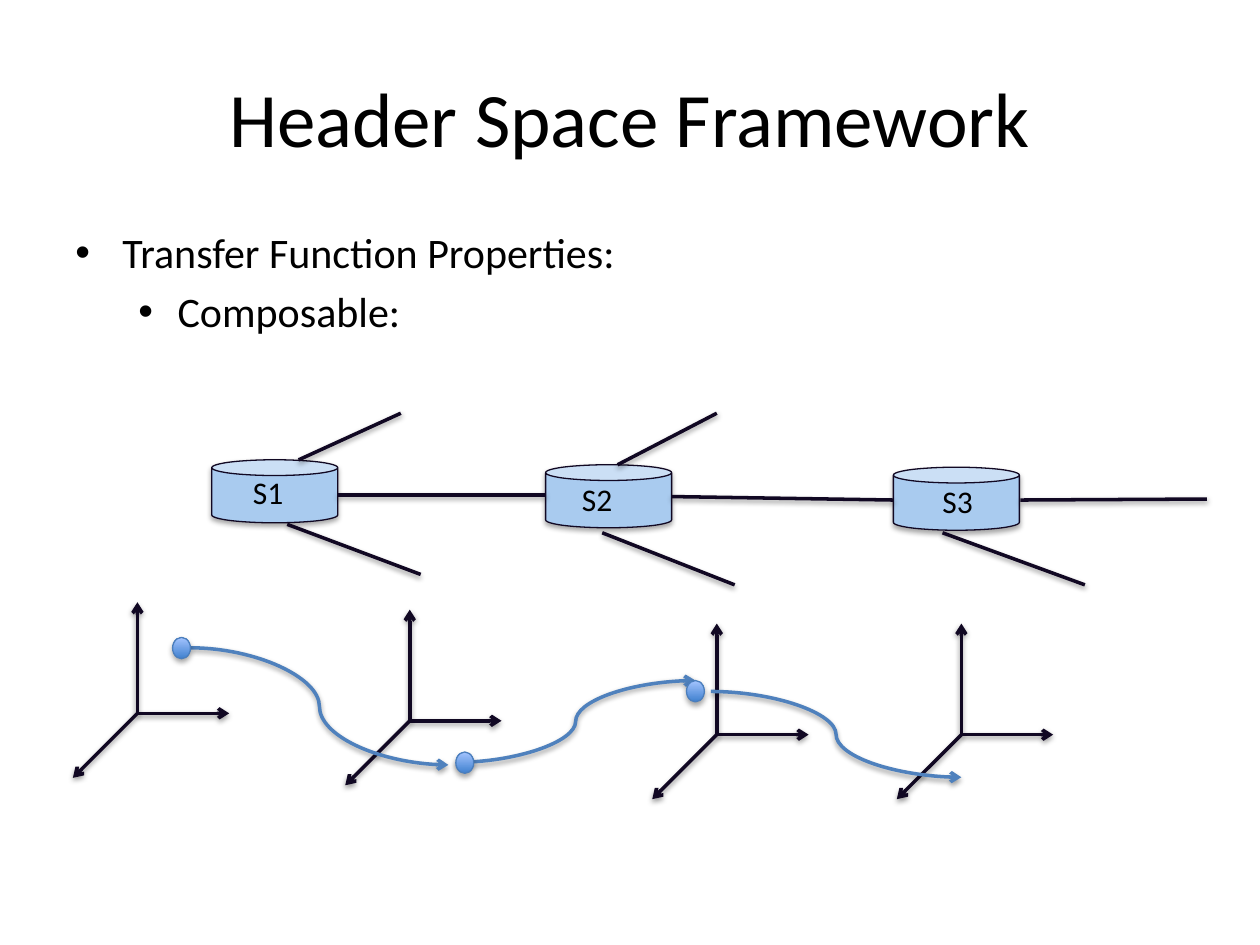
from dataclasses import dataclass

from pptx import Presentation
from pptx.dml.color import RGBColor
from pptx.enum.shapes import MSO_CONNECTOR as Link, MSO_SHAPE as Preset
from pptx.enum.text import MSO_ANCHOR as Anchor, MSO_AUTO_SIZE as Fit, PP_ALIGN as Align
from pptx.oxml.ns import qn
from pptx.oxml.xmlchemy import OxmlElement
from pptx.util import Cm, Pt


@dataclass(frozen=True)
class Theme:
    font: str = "Calibri"
    text: str = "000000"
    ink: str = "110823"
    switch: str = "A9CBEF"
    path_line: str = "4F81BD"
    dot_line: str = "4B7EBC"
    dot_low: str = "3F80CE"
    dot_high: str = "A4C4FF"
    title: int = 44
    body: int = 24
    label: int = 18
    outline: float = 0.75
    stroke: float = 2


THEME = Theme()

SWITCHES = [
    ("S1", (4.27, 9.27), (4.85, 9.42)),
    ("S2", (11, 9.37), (11.48, 9.55)),
    ("S3", (18.01, 9.42), (18.75, 9.6)),
]
LINKS = [
    ((6.81, 9.98), (11, 9.98)),
    ((13.54, 10.01), (18.01, 10.08)),
    ((20.57, 10.08), (24.33, 10.06)),
]
BRANCHES = [
    ((6.02, 9.27), (8.08, 8.33)),
    ((12.45, 9.37), (14.45, 8.33)),
    ((5.79, 10.57), (8.48, 11.58)),
    ((12.14, 10.74), (14.81, 11.79)),
    ((19, 10.74), (21.87, 11.79)),
]
AXIS_ORIGINS = [(2.77, 14.38), (8.26, 14.53), (14.45, 14.81), (19.38, 14.81)]
AXIS_ARMS = [(0, -2.24), (1.85, 0), (-1.3, 1.3)]
HOPS = [
    ((3.84, 13.06), (9.04, 15.42)),
    ((9.19, 15.37), (14.02, 13.72)),
    ((14.33, 13.94), (19.38, 15.67)),
]
DOTS = [(3.48, 12.85), (9.19, 15.16), (13.84, 13.72)]


def color(value):
    return RGBColor.from_string(value)


def add_element(parent, tag, **attributes):
    element = OxmlElement(tag)
    for name, value in attributes.items():
        element.set(name, str(value))
    parent.append(element)
    return element


def add_shadow(properties, opacity, distance):
    effects = properties.find(qn("a:effectLst"))
    if effects is None:
        effects = add_element(properties, "a:effectLst")
    shadow = add_element(effects, "a:outerShdw", blurRad=Pt(3.1), dist=Pt(distance),
                         dir=90 * 60000, rotWithShape=0)
    tone = add_element(shadow, "a:srgbClr", val="000000")
    add_element(tone, "a:alpha", val=opacity * 1000)


def write(para, text, size, align=Align.LEFT, indent=None, level=0, before=0):
    para.level = level
    para.alignment = align
    para.space_before = Pt(before)
    if indent:
        left, hanging = indent
        properties = para._p.get_or_add_pPr()
        properties.set("marL", str(Cm(left)))
        properties.set("indent", str(Cm(-hanging)))
        add_element(properties, "a:buFont", typeface="Arial")
        add_element(properties, "a:buChar", char="•")
    span = para.add_run()
    span.text = text
    span.font.name = THEME.font
    span.font.size = Pt(size)
    span.font.color.rgb = color(THEME.text)


def add_title(page, text):
    title = page.shapes.title
    title.left, title.top, title.width, title.height = Cm(1.27), Cm(0.76), Cm(22.86), Cm(3.18)
    title.text_frame.vertical_anchor = Anchor.MIDDLE
    write(title.text_frame.paragraphs[0], text, THEME.title, align=Align.CENTER)


def add_box(page, left, top, width, height, fit=Fit.NONE):
    box = page.shapes.add_textbox(Cm(left), Cm(top), Cm(width), Cm(height))
    box.text_frame.word_wrap = True
    box.text_frame.auto_size = fit
    return box.text_frame


def add_bullets(page):
    frame = add_box(page, 1.27, 4.45, 22.86, 12.57)
    write(frame.paragraphs[0], "Transfer Function Properties:", THEME.body, indent=(0.95, 0.95))
    write(frame.add_paragraph(), "Composable:", THEME.body, indent=(2.06, 0.79),
          level=1, before=4.8)


def add_solid(page, preset, corner, size, line):
    shape = page.shapes.add_shape(preset, *map(Cm, corner + size))
    shape.line.color.rgb = color(line)
    shape.line.width = Pt(THEME.outline)
    shape.shadow.inherit = False
    add_shadow(shape._element.spPr, 35, 1.8)
    return shape


def add_switch(page, name, corner, label_corner):
    can = add_solid(page, Preset.CAN, corner, (2.54, 1.27), THEME.ink)
    can.fill.solid()
    can.fill.fore_color.rgb = color(THEME.switch)
    label = add_box(page, *label_corner, 1.3, 1.02, fit=Fit.SHAPE_TO_FIT_TEXT)
    write(label.paragraphs[0], name, THEME.label)


def add_dot(page, corner):
    dot = add_solid(page, Preset.OVAL, corner, (0.36, 0.43), THEME.dot_line)
    dot.fill.gradient()
    dot.fill.gradient_angle = 90
    for stop, tone, place in zip(dot.fill.gradient_stops, (THEME.dot_low, THEME.dot_high), (0, 1)):
        stop.color.rgb = color(tone)
        stop.position = place


def add_line(page, start, end, kind=Link.STRAIGHT, tone=THEME.ink, arrow=False):
    line = page.shapes.add_connector(kind, *map(Cm, start + end))
    line.line.color.rgb = color(tone)
    line.line.width = Pt(THEME.stroke)
    if arrow:
        add_element(line.line._get_or_add_ln(), "a:tailEnd", type="arrow")
    add_shadow(line._element.spPr, 38, 1.6)


def add_axes(page, origin):
    x, y = origin
    for across, down in AXIS_ARMS:
        add_line(page, origin, (x + across, y + down), arrow=True)


def main():
    deck = Presentation()
    deck.slide_width, deck.slide_height = Cm(25.4), Cm(19.05)
    page = deck.slides.add_slide(deck.slide_layouts[5])
    add_title(page, "Header Space Framework")
    add_bullets(page)
    for name, corner, label_corner in SWITCHES:
        add_switch(page, name, corner, label_corner)
    for start, end in LINKS + BRANCHES:
        add_line(page, start, end)
    for origin in AXIS_ORIGINS:
        add_axes(page, origin)
    for start, end in HOPS:
        add_line(page, start, end, kind=Link.CURVE, tone=THEME.path_line, arrow=True)
    for corner in DOTS:
        add_dot(page, corner)
    deck.save("out.pptx")


if __name__ == "__main__":
    main()
